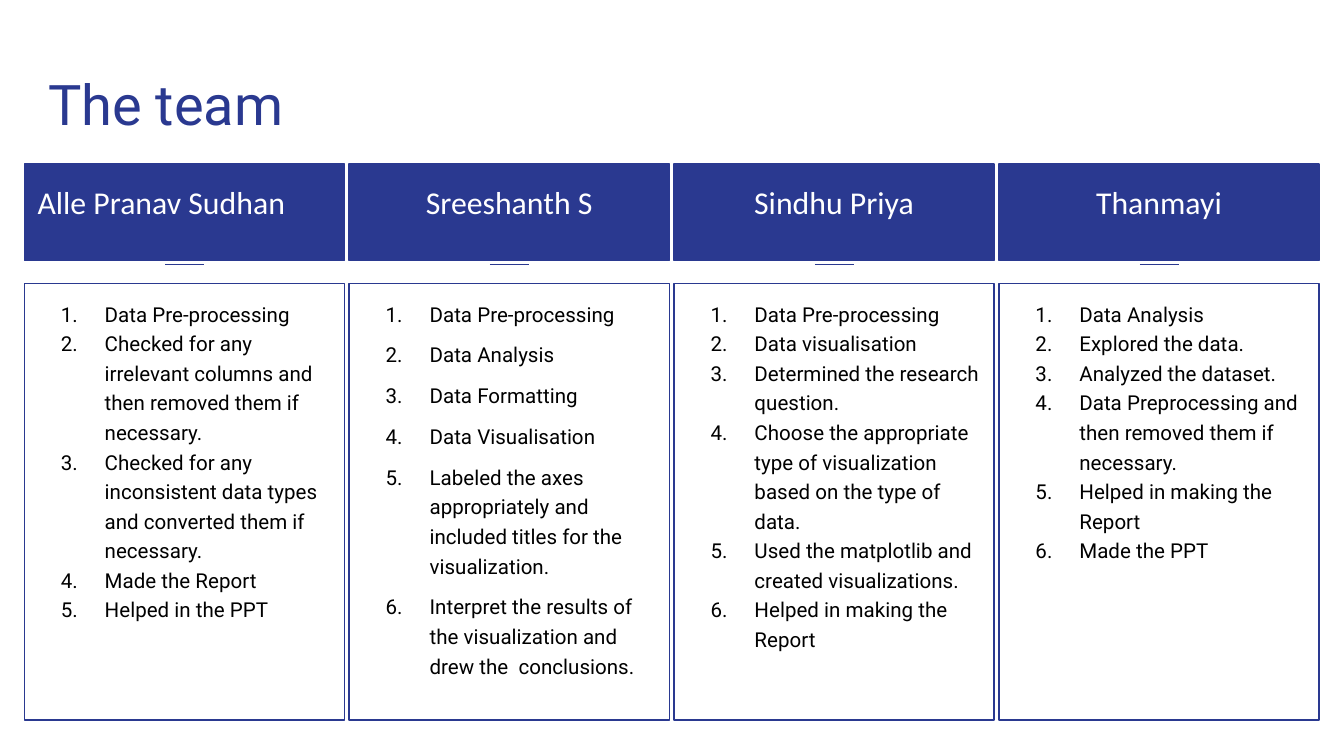
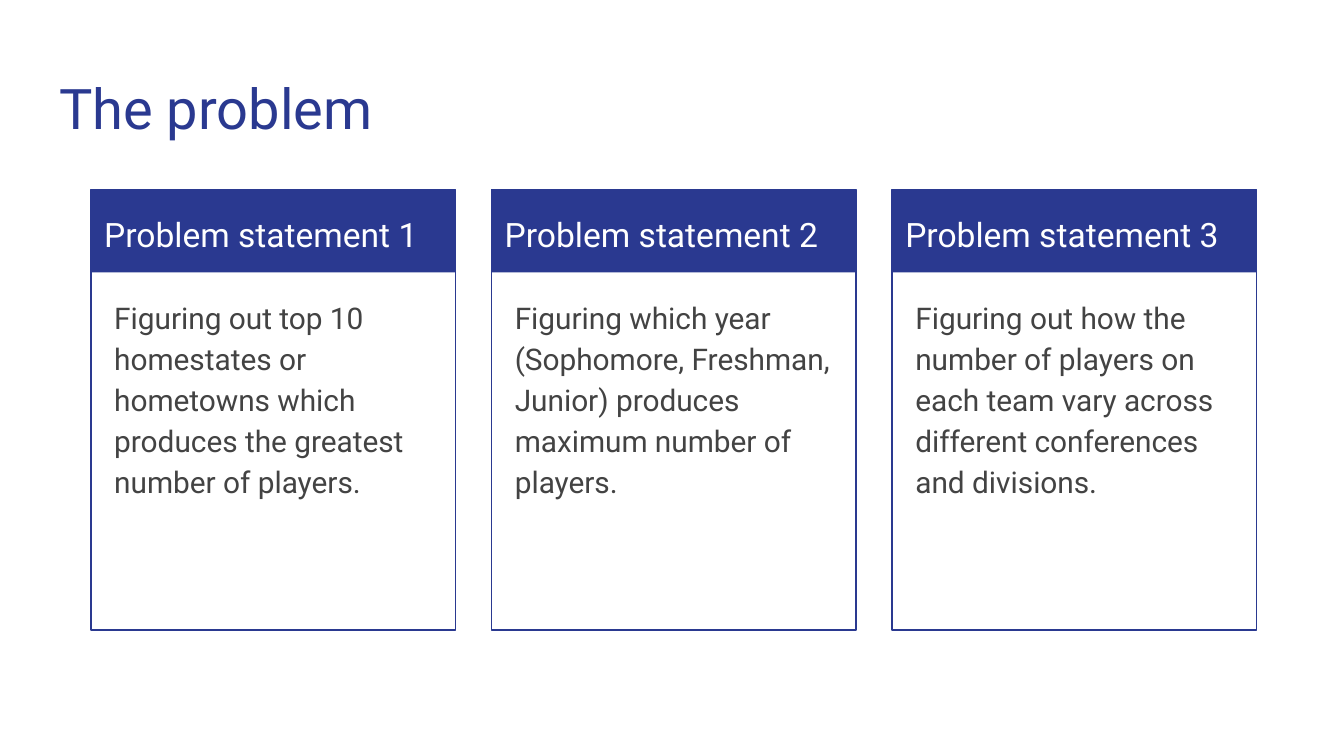
from lxml import etree
from pptx import Presentation
from pptx.dml.color import RGBColor
from pptx.enum.shapes import MSO_CONNECTOR, MSO_SHAPE
from pptx.enum.text import MSO_ANCHOR as ANCHOR, MSO_AUTO_SIZE, PP_ALIGN as ALIGN
from pptx.oxml.ns import qn
from pptx.util import Cm, Pt

# Shared look
NAVY, WHITE, BLACK, GREY = "2A3990", "FFFFFF", "000000", "434343"
INSET = Cm(0.25)
LINE_WIDTH = Pt(0.75)

TITLE_FONT = dict(name="Roboto", size=Pt(30), color=NAVY)
NAME_FONT = dict(name="Calibri", size=Pt(17), color=WHITE)
TASK_FONT = dict(name="Roboto", size=Pt(11), color=BLACK)
HEADING_FONT = dict(name="Roboto", size=Pt(18), color=WHITE)
STATEMENT_FONT = dict(name="Roboto", size=Pt(16), color=GREY)

# Name, alignment, space before each later task, tasks
TEAM = [
    ("Alle Pranav Sudhan", ALIGN.LEFT, 0, [
        "Data Pre-processing",
        "Checked for any irrelevant columns and then removed them if necessary.",
        "Checked for any inconsistent data types and converted them if necessary.",
        "Made the Report",
        "Helped in the PPT",
    ]),
    ("Sreeshanth S", ALIGN.CENTER, 6, [
        "Data Pre-processing",
        "Data Analysis",
        "Data Formatting",
        "Data Visualisation",
        "Labeled the axes appropriately and included titles for the visualization.",
        "Interpret the results of the visualization and drew the  conclusions.",
    ]),
    ("Sindhu Priya", ALIGN.CENTER, 0, [
        "Data Pre-processing",
        "Data visualisation",
        "Determined the research question.",
        "Choose the appropriate type of visualization based on the type of data.",
        "Used the matplotlib and created visualizations.",
        "Helped in making the Report",
    ]),
    ("Thanmayi", ALIGN.CENTER, 0, [
        "Data Analysis",
        "Explored the data.",
        "Analyzed the dataset.",
        "Data Preprocessing and then removed them if necessary.",
        "Helped in making the Report",
        "Made the PPT",
    ]),
]

PROBLEMS = [
    "Figuring out top 10 homestates or hometowns which produces the greatest "
    "number of players.",
    "Figuring which year (Sophomore, Freshman, Junior) produces maximum number "
    "of players.",
    "Figuring out how the number of players on each team vary across different "
    "conferences and divisions.",
]


def rgb(value):
    return RGBColor.from_string(value)


def set_frame(tf, anchor=ANCHOR.TOP):
    frame = dict(word_wrap=True, auto_size=MSO_AUTO_SIZE.NONE, vertical_anchor=anchor,
                 margin_left=INSET, margin_right=INSET,
                 margin_top=INSET, margin_bottom=INSET)
    for key, value in frame.items():
        setattr(tf, key, value)


def write(p, text, font, **paragraph):
    r = p.add_run()
    r.text = text
    for key, value in font.items():
        if key == "color":
            r.font.color.rgb = rgb(value)
        else:
            setattr(r.font, key, value)
    for key, value in {"alignment": ALIGN.LEFT, **paragraph}.items():
        setattr(p, key, value)


def number(p):
    """Number a paragraph with a hanging indent."""
    pPr = p._p.get_or_add_pPr()
    pPr.set("marL", str(Cm(1.27)))
    pPr.set("indent", str(Cm(-0.83)))
    color = etree.SubElement(pPr, qn("a:buClr"))
    etree.SubElement(color, qn("a:srgbClr"), val=BLACK)
    etree.SubElement(pPr, qn("a:buAutoNum"), type="arabicPeriod")


def add_box(s, x, y, w, h, fill=None, line=NAVY, anchor=ANCHOR.TOP):
    sp = s.shapes.add_shape(MSO_SHAPE.RECTANGLE, Cm(x), Cm(y), Cm(w), Cm(h))
    sp.shadow.inherit = False
    if fill:
        sp.fill.solid()
        sp.fill.fore_color.rgb = rgb(fill)
    else:
        sp.fill.background()
    if line:
        sp.line.color.rgb = rgb(line)
        sp.line.width = LINE_WIDTH
    else:
        sp.line.fill.background()
    set_frame(sp.text_frame, anchor)
    return sp


def add_rule(s, x, y, length):
    line = s.shapes.add_connector(MSO_CONNECTOR.STRAIGHT,
                                  Cm(x), Cm(y), Cm(x + length), Cm(y))
    line.line.color.rgb = rgb(NAVY)
    line.line.width = LINE_WIDTH
    etree.SubElement(line._element.spPr, qn("a:effectLst"))


def add_titled_slide(prs, title, x, y):
    s = prs.slides.add_slide(prs.slide_layouts[5])
    sp = s.shapes.title
    sp.left, sp.top, sp.width, sp.height = Cm(x), Cm(y), Cm(23.67), Cm(1.68)
    set_frame(sp.text_frame)
    write(sp.text_frame.paragraphs[0], title, TITLE_FONT)
    return s


def add_member(s, x, y, w, name, align, gap, tasks):
    # Name band and short rule
    band = add_box(s, x, y, w, 1.83, fill=NAVY)
    write(band.text_frame.paragraphs[0], name, NAME_FONT, alignment=align,
          line_spacing=1.15, space_after=Pt(16))
    add_rule(s, x + 2.66, y + 1.9, 0.74)

    # Numbered tasks
    tf = add_box(s, x, y + 2.26, w, 8.25).text_frame
    for i, task in enumerate(tasks):
        p = tf.add_paragraph() if i else tf.paragraphs[0]
        write(p, task, TASK_FONT, line_spacing=1.2, space_before=Pt(gap if i else 6))
        number(p)


def add_problem(s, x, y, w, heading, statement):
    # Outline and heading band
    add_box(s, x, y, w, 8.33)
    band = add_box(s, x, y, w, 1.57, fill=NAVY, line=None, anchor=ANCHOR.MIDDLE)
    write(band.text_frame.paragraphs[0], heading, HEADING_FONT, line_spacing=1.15)

    # Statement
    tb = s.shapes.add_textbox(Cm(x + 0.19), Cm(y + 1.73), Cm(w - 0.38), Cm(6.4))
    set_frame(tb.text_frame)
    write(tb.text_frame.paragraphs[0], statement, STATEMENT_FONT,
          line_spacing=1.15, space_after=Pt(16))


def team_slide(prs):
    s = add_titled_slide(prs, "The team", 0.66, 1.07)
    for i, member in enumerate(TEAM):
        add_member(s, 0.46 + i * 6.14, 3.1, 6.05, *member)


def problem_slide(prs):
    s = add_titled_slide(prs, "The problem", 0.87, 1.14)
    for i, statement in enumerate(PROBLEMS):
        add_problem(s, 1.72 + i * 7.57, 3.58, 6.89,
                    f"Problem statement {i + 1}", statement)


def main():
    prs = Presentation()
    prs.slide_width, prs.slide_height = Cm(25.4), Cm(14.29)
    team_slide(prs)
    problem_slide(prs)
    prs.save("out.pptx")


if __name__ == "__main__":
    main()
